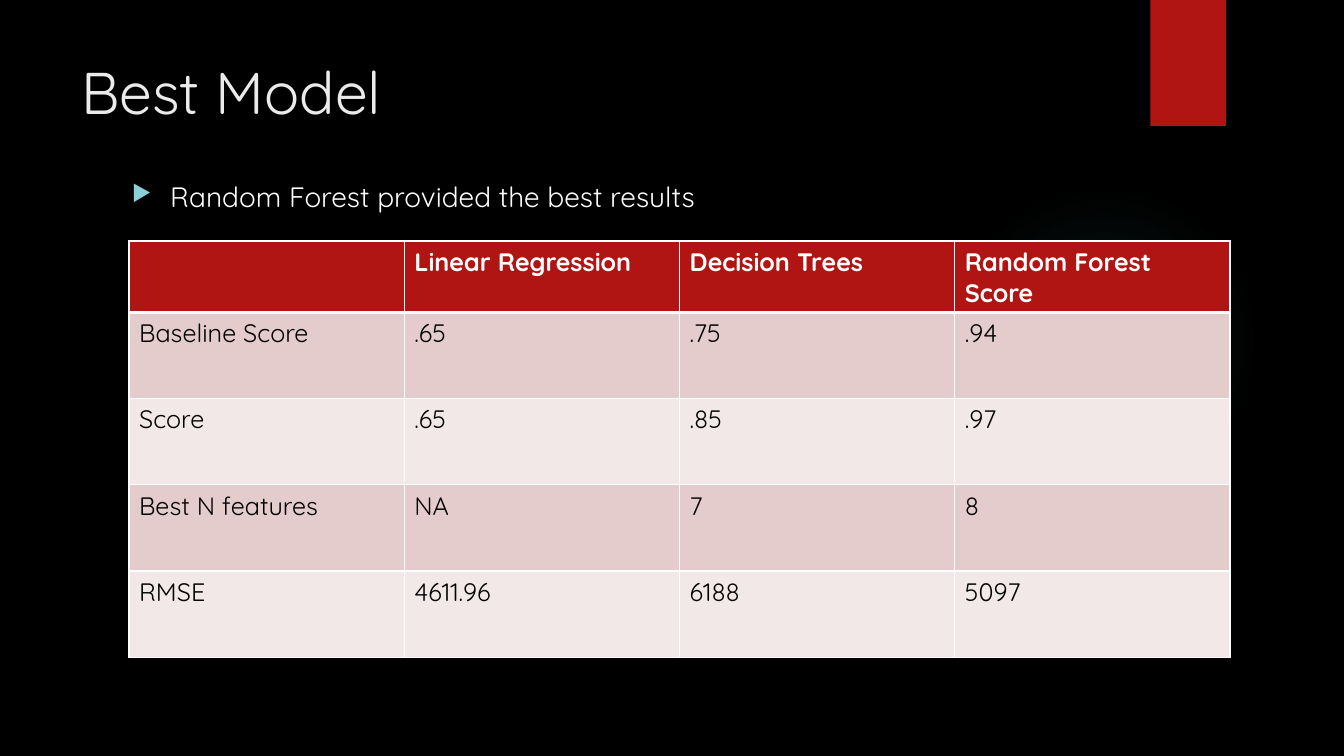
import pptx
import pptx.util
import pptx.dml.color
import pptx.enum.shapes
import pptx.enum.text
import pptx.oxml
import pptx.oxml.ns

RGBColor = pptx.dml.color.RGBColor
Inches = pptx.util.Inches
Pt = pptx.util.Pt

TITLE = "Best Model"
BULLET = "Random Forest provided the best results"
ROWS = [
    ["", "Linear Regression", "Decision Trees", "Random Forest\nScore"],
    ["Baseline Score", ".65", ".75", ".94"],
    ["Score", ".65", ".85", ".97"],
    ["Best N features", "NA", "7", "8"],
    ["RMSE", "4611.96", "6188", "5097"],
]

FONT = "Quicksand"
BLACK = RGBColor(0x00, 0x00, 0x00)
WHITE = RGBColor(0xFF, 0xFF, 0xFF)
PALE = RGBColor(0xEB, 0xEB, 0xEB)
RED = RGBColor(0xB0, 0x15, 0x13)
BANDS = [RGBColor(0xF2, 0xE8, 0xE7), RGBColor(0xE4, 0xCC, 0xCC)]
GLOW = RGBColor(0x50, 0xB9, 0xC1)
MARKER = RGBColor(0x8A, 0xD0, 0xD6)

GLOW_STOPS = [(0, 7), (36, 6), (69, 0)]
GLOW_BOX = (9.41, 1.83, 3.08, 3.08)
TAB_BOX = (11.41, 0, 0.75, 1.25)
TITLE_BOX = (0.71, 0.5, 10.29, 1.53)
BULLET_BOX = (1.21, 1.73, 9.78, 0.64)
TABLE_LEFT, TABLE_TOP = 1.28, 2.39
COL_W, HEAD_H, ROW_H = 2.73, 0.71, 0.855
BULLET_INDENT = Inches(0.38)


def xml(tag, body, attrs=""):
    ns = pptx.oxml.ns.nsdecls("a")
    return pptx.oxml.parse_xml(f"<a:{tag} {ns} {attrs}>{body}</a:{tag}>")


def add_run(p, text, size, color, bold=False):
    r = p.add_run()
    r.text = text
    r.font.size = Pt(size)
    r.font.name = FONT
    r.font.bold = bold
    r.font.color.rgb = color


def add_shape(s, kind, box):
    sp = s.shapes.add_shape(kind, *map(Inches, box))
    sp.shadow.inherit = False
    sp.line.fill.background()
    return sp


def add_text(s, box, text, size, color):
    tf = s.shapes.add_textbox(*map(Inches, box)).text_frame
    tf.word_wrap = True
    tf.vertical_anchor = pptx.enum.text.MSO_ANCHOR.TOP
    p = tf.paragraphs[0]
    add_run(p, text, size, color)
    return p


def add_glow(s):
    sp = add_shape(s, pptx.enum.shapes.MSO_SHAPE.OVAL, GLOW_BOX)
    stops = "".join(
        f'<a:gs pos="{pos * 1000}"><a:srgbClr val="{GLOW}">'
        f'<a:alpha val="{alpha * 1000}"/></a:srgbClr></a:gs>'
        for pos, alpha in GLOW_STOPS)
    center = '<a:fillToRect l="50000" t="50000" r="50000" b="50000"/>'
    grad = xml("gradFill", f'<a:gsLst>{stops}</a:gsLst>'
                           f'<a:path path="circle">{center}</a:path>')
    sp._element.spPr.find(pptx.oxml.ns.qn("a:prstGeom")).addnext(grad)


def add_bullet(p):
    p.space_before = Pt(10)
    pPr = p._p.get_or_add_pPr()
    pPr.set("marL", str(BULLET_INDENT))
    pPr.set("indent", str(-BULLET_INDENT))
    pPr.append(xml("buClr", f'<a:srgbClr val="{MARKER}"/>'))
    pPr.append(xml("buSzPct", "", 'val="80000"'))
    pPr.append(xml("buChar", "", 'char="▶"'))


def add_borders(cell, row):
    widths = {"L": 1, "R": 1, "T": 3 if row == 1 else 1, "B": 3 if row == 0 else 1}
    for side, width in widths.items():
        line = f'<a:solidFill><a:srgbClr val="{WHITE}"/></a:solidFill>'
        cell._tc.get_or_add_tcPr().append(xml("ln" + side, line, f'w="{Pt(width)}"'))


def add_table(s):
    n_rows, n_cols = len(ROWS), len(ROWS[0])
    height = HEAD_H + ROW_H * (n_rows - 1)
    box = (TABLE_LEFT, TABLE_TOP, COL_W * n_cols, height)
    table = s.shapes.add_table(n_rows, n_cols, *map(Inches, box)).table
    for i, row in enumerate(ROWS):
        head = i == 0
        table.rows[i].height = Inches(HEAD_H if head else ROW_H)
        for j, text in enumerate(row):
            cell = table.cell(i, j)
            add_borders(cell, i)
            cell.fill.solid()
            cell.fill.fore_color.rgb = RED if head else BANDS[i % 2]
            tf = cell.text_frame
            for k, line in enumerate(text.splitlines()):
                p = tf.add_paragraph() if k else tf.paragraphs[0]
                add_run(p, line, 18, WHITE if head else BLACK, head)


def main():
    prs = pptx.Presentation()
    prs.slide_width, prs.slide_height = Inches(13.33), Inches(7.5)
    s = prs.slides.add_slide(prs.slide_layouts[6])
    s.background.fill.solid()
    s.background.fill.fore_color.rgb = BLACK
    add_glow(s)
    tab = add_shape(s, pptx.enum.shapes.MSO_SHAPE.RECTANGLE, TAB_BOX)
    tab.fill.solid()
    tab.fill.fore_color.rgb = RED
    add_text(s, TITLE_BOX, TITLE, 42, PALE)
    add_bullet(add_text(s, BULLET_BOX, BULLET, 20, WHITE))
    add_table(s)
    prs.save("out.pptx")


if __name__ == "__main__":
    main()
